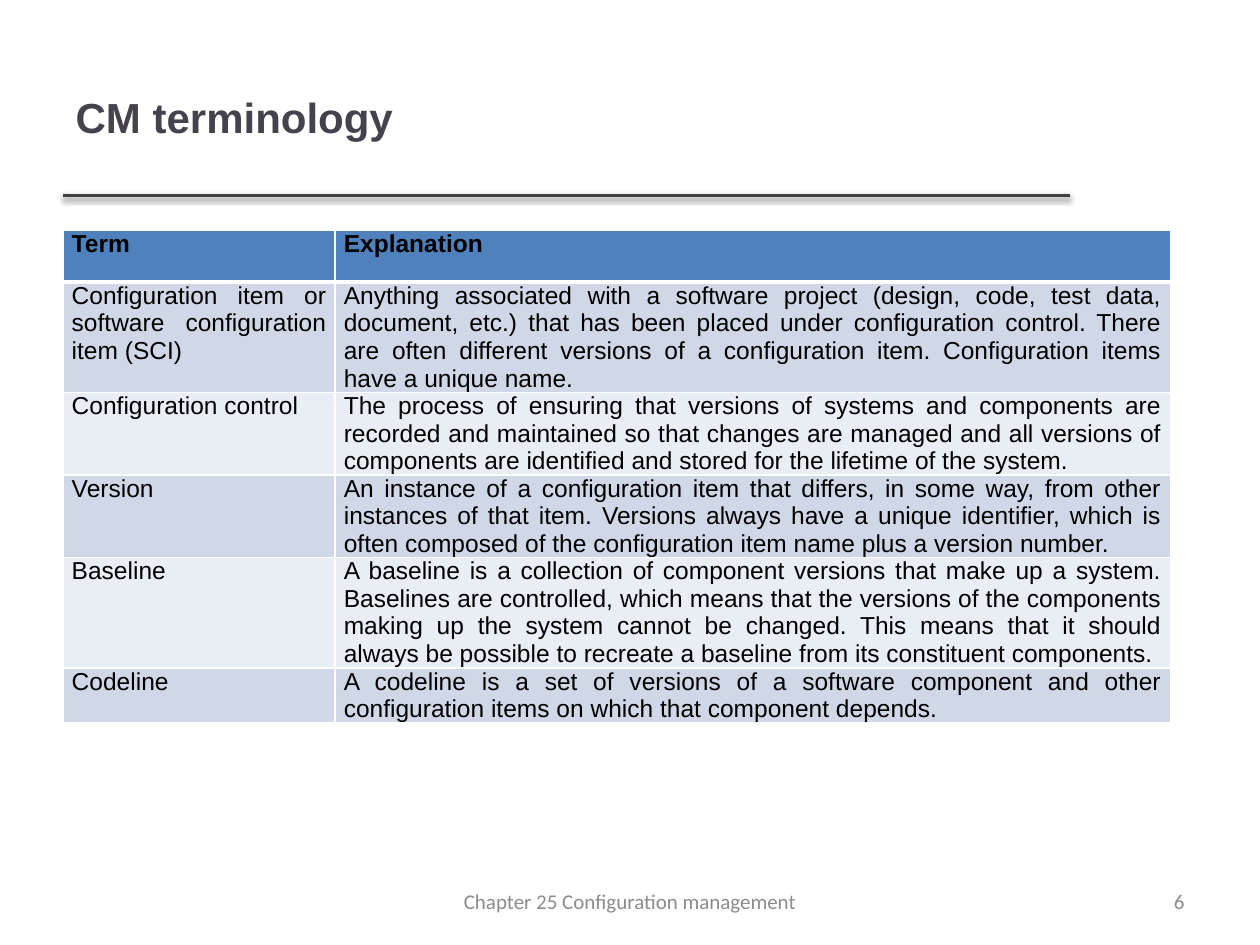
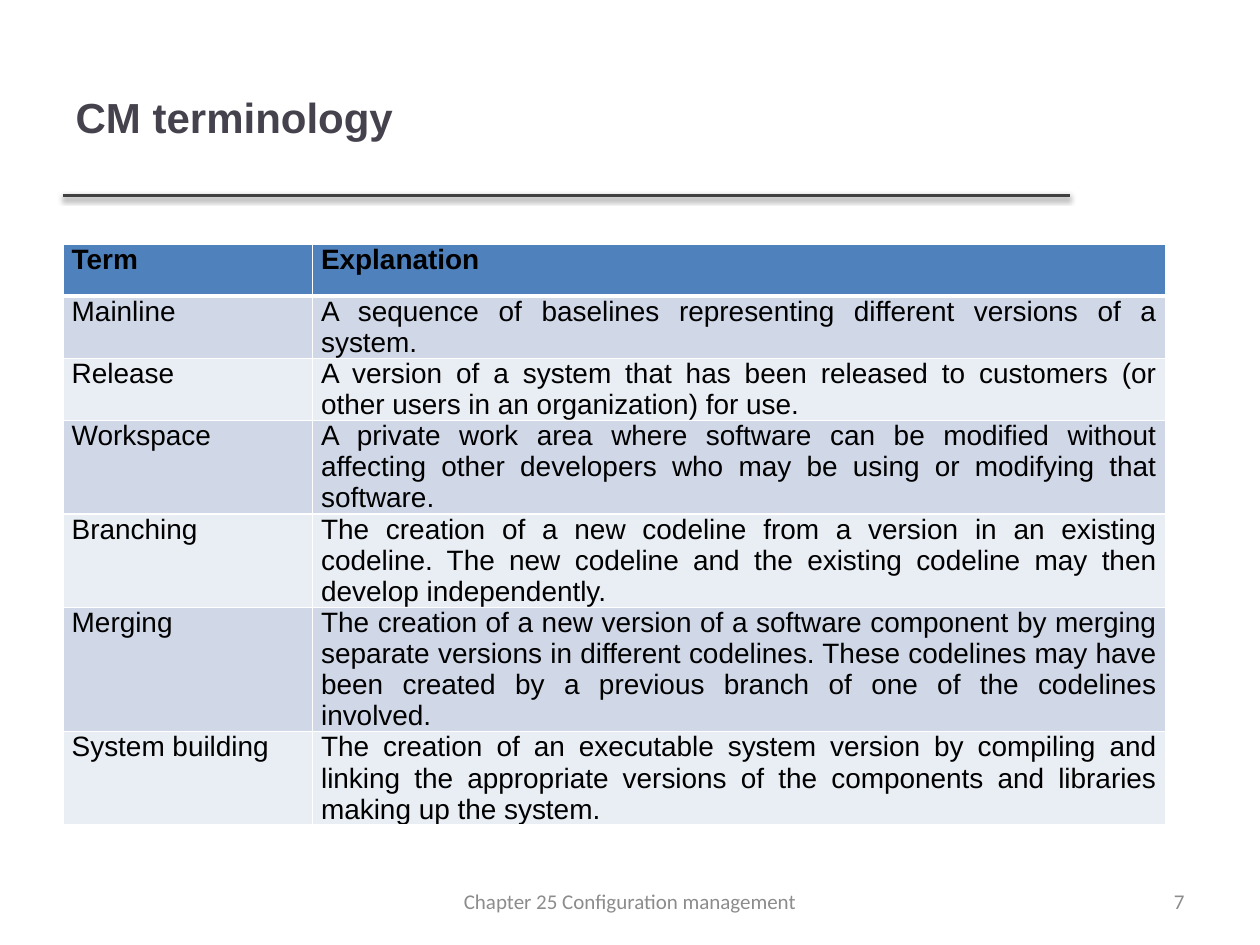
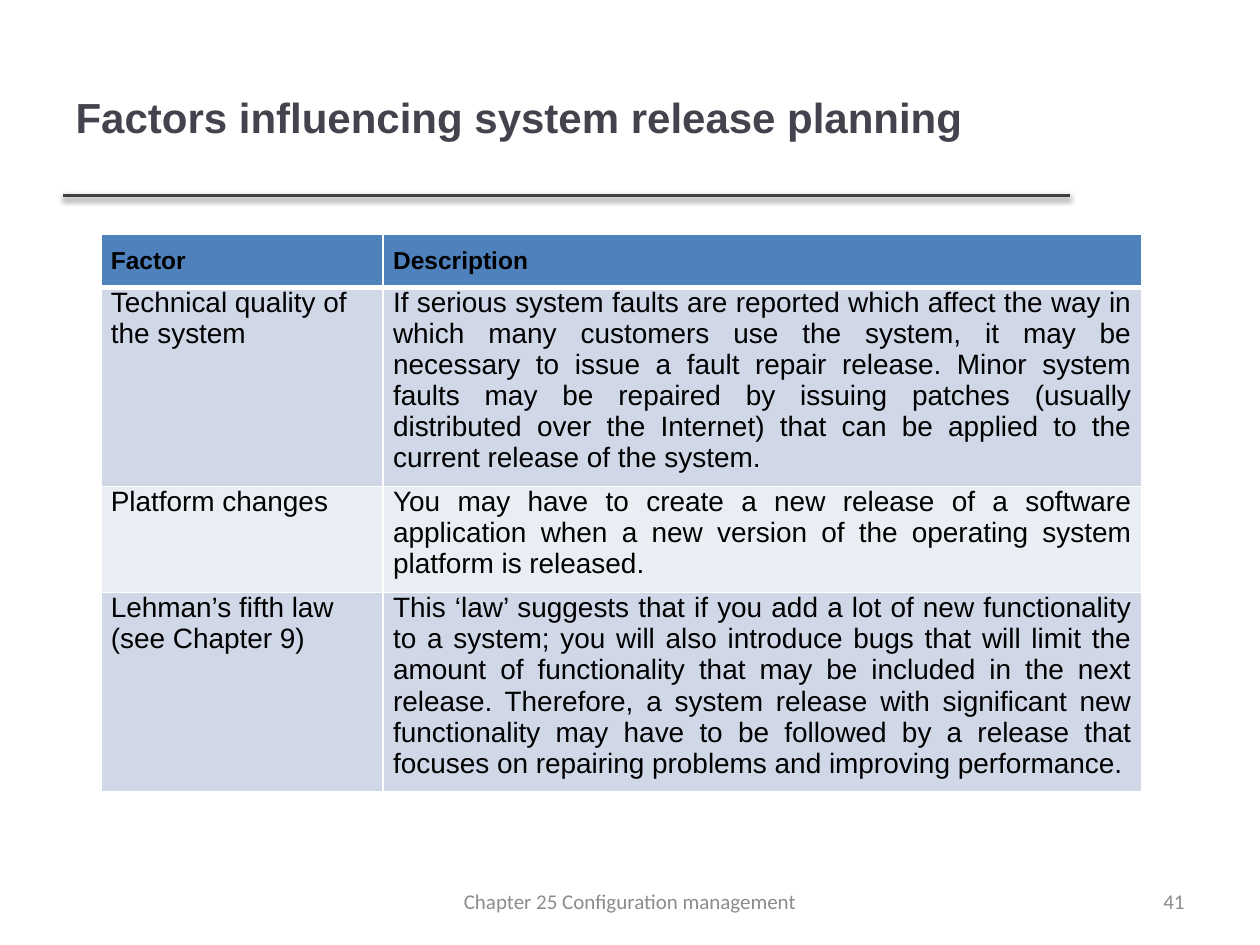
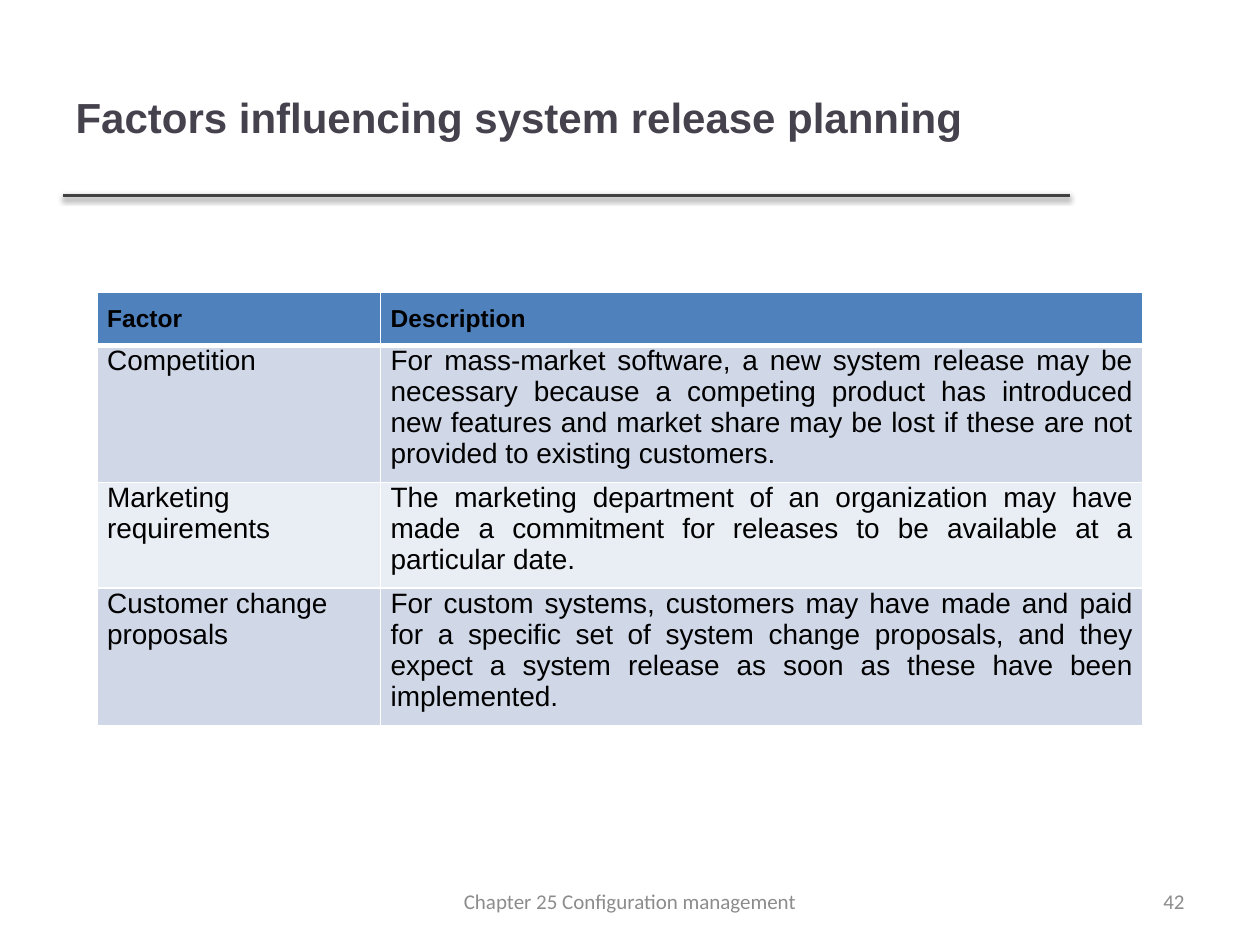
from dataclasses import dataclass

from lxml.etree import SubElement
from pptx import Presentation
from pptx.dml.color import RGBColor
from pptx.enum.shapes import MSO_CONNECTOR
from pptx.enum.text import MSO_ANCHOR, MSO_AUTO_SIZE, PP_ALIGN
from pptx.oxml import parse_xml
from pptx.oxml.ns import nsdecls, qn
from pptx.util import Pt


@dataclass(frozen=True)
class Theme:
    title_color: str = "46424D"
    rule_color: str = "404040"
    header_fill: str = "4F81BD"
    band_fills: tuple = ("D0D8E8", "E9EDF4")
    border_color: str = "FFFFFF"
    cell_color: str = "000000"
    footer_color: str = "8C8C8C"
    text_font: str = "Arial"
    footer_font: str = "Calibri"
    title_size: int = 24
    small_size: int = 14
    large_size: int = 16
    footer_size: int = 12


THEME = Theme()
FOOTER = "Chapter 25 Configuration management"
ROW_HEIGHT = 29.5

# Cell margins run left, top, right, bottom.
TERM_STYLE = {
    "header": ("Term", "Explanation"),
    "header_margins": (5, 0, 5, 0),
    "body_margins": (5, 0, 5, 0),
    "first_column": PP_ALIGN.JUSTIFY,
    "space_after": 2,
}
FACTOR_STYLE = {
    "header": ("Factor", "Description"),
    "header_margins": (5.75, 7.2, 5.75, 7.2),
    "body_margins": (5.75, 0, 5.75, 7.2),
    "first_column": PP_ALIGN.LEFT,
    "space_after": 0,
}

SLIDES = [
    {
        "title": "CM terminology", "number": 6, "style": TERM_STYLE,
        "position": (36, 131.75), "columns": (155.5, 477.4),
        "header_size": THEME.small_size, "body_size": THEME.small_size,
        "rows": [
            ("Configuration item or software configuration item (SCI)",
             "Anything associated with a software project (design, code, test data, document, etc.) "
             "that has been placed under configuration control. There are often different versions "
             "of a configuration item. Configuration items have a unique name."),
            ("Configuration control",
             "The process of ensuring that versions of systems and components are recorded and "
             "maintained so that changes are managed and all versions of components are identified "
             "and stored for the lifetime of the system."),
            ("Version",
             "An instance of a configuration item that differs, in some way, from other instances "
             "of that item. Versions always have a unique identifier, which is often composed of "
             "the configuration item name plus a version number."),
            ("Baseline",
             "A baseline is a collection of component versions that make up a system. Baselines are "
             "controlled, which means that the versions of the components making up the system "
             "cannot be changed. This means that it should always be possible to recreate a "
             "baseline from its constituent components."),
            ("Codeline",
             "A codeline is a set of versions of a software component and other configuration items "
             "on which that component depends."),
        ],
    },
    {
        "title": "CM terminology", "number": 7, "style": TERM_STYLE,
        "position": (36, 139.7), "columns": (142.5, 487.5),
        "header_size": THEME.large_size, "body_size": THEME.large_size,
        "rows": [
            ("Mainline",
             "A sequence of baselines representing different versions of a system."),
            ("Release",
             "A version of a system that has been released to customers (or other users in an "
             "organization) for use."),
            ("Workspace",
             "A private work area where software can be modified without affecting other "
             "developers who may be using or modifying that software."),
            ("Branching",
             "The creation of a new codeline from a version in an existing codeline. The new "
             "codeline and the existing codeline may then develop independently."),
            ("Merging",
             "The creation of a new version of a software component by merging separate versions "
             "in different codelines. These codelines may have been created by a previous branch "
             "of one of the codelines involved."),
            ("System building",
             "The creation of an executable system version by compiling and linking the "
             "appropriate versions of the components and libraries making up the system."),
        ],
    },
    {
        "title": "Factors influencing system release planning", "number": 41,
        "style": FACTOR_STYLE,
        "position": (57.6, 134), "columns": (161.3, 433.4),
        "header_size": THEME.small_size, "body_size": THEME.large_size,
        "rows": [
            ("Technical quality of the system",
             "If serious system faults are reported which affect the way in which many customers "
             "use the system, it may be necessary to issue a fault repair release. Minor system "
             "faults may be repaired by issuing patches (usually distributed over the Internet) "
             "that can be applied to the current release of the system."),
            ("Platform changes",
             "You may have to create a new release of a software application when a new version "
             "of the operating system platform is released."),
            ("Lehman’s fifth law (see Chapter 9)",
             "This ‘law’ suggests that if you add a lot of new functionality to a system; you will "
             "also introduce bugs that will limit the amount of functionality that may be included "
             "in the next release. Therefore, a system release with significant new functionality "
             "may have to be followed by a release that focuses on repairing problems and "
             "improving performance."),
        ],
    },
    {
        "title": "Factors influencing system release planning", "number": 42,
        "style": FACTOR_STYLE,
        "position": (55.5, 167.1), "columns": (162, 435.6),
        "header_size": THEME.small_size, "body_size": THEME.large_size,
        "rows": [
            ("Competition",
             "For mass-market software, a new system release may be necessary because a competing "
             "product has introduced new features and market share may be lost if these are not "
             "provided to existing customers."),
            ("Marketing requirements",
             "The marketing department of an organization may have made a commitment for releases "
             "to be available at a particular date."),
            ("Customer change proposals",
             "For custom systems, customers may have made and paid for a specific set of system "
             "change proposals, and they expect a system release as soon as these have been "
             "implemented."),
        ],
    },
]


def write_text(text_frame, text, font_name, size, color, alignment, bold=False):
    text_frame.text = text
    text_frame.word_wrap = True
    paragraph = text_frame.paragraphs[0]
    paragraph.alignment = alignment
    font = paragraph.runs[0].font
    font.name, font.size, font.bold = font_name, Pt(size), bold
    font.color.rgb = RGBColor.from_string(color)
    return paragraph


def set_borders(cell, top, bottom):
    """Draw all four sides; call before filling, as borders precede the fill in the XML."""
    properties = cell._tc.get_or_add_tcPr()
    for side, width in (("L", 1), ("R", 1), ("T", top), ("B", bottom)):
        line = SubElement(properties, qn(f"a:ln{side}"), w=str(Pt(width)))
        SubElement(SubElement(line, qn("a:solidFill")), qn("a:srgbClr"), val=THEME.border_color)


presentation = Presentation()
presentation.slide_width, presentation.slide_height = Pt(720), Pt(540)
title_only = presentation.slide_layouts[5]

for content in SLIDES:
    slide = presentation.slides.add_slide(title_only)
    style = content["style"]

    rule = slide.shapes.add_connector(MSO_CONNECTOR.STRAIGHT, Pt(36), Pt(111.6), Pt(611.3), Pt(111.6))
    rule.line.width = Pt(2)
    rule.line.color.rgb = RGBColor.from_string(THEME.rule_color)
    rule._element.spPr.append(parse_xml(
        f'<a:effectLst {nsdecls("a")}><a:outerShdw blurRad="{Pt(3.1)}" dist="{Pt(1.6)}" '
        'dir="5400000" rotWithShape="0"><a:srgbClr val="000000"><a:alpha val="38000"/>'
        '</a:srgbClr></a:outerShdw></a:effectLst>'))

    title = slide.shapes.title
    title.left, title.top, title.width, title.height = Pt(36), Pt(21.6), Pt(574.6), Pt(90)
    write_text(title.text_frame, content["title"], THEME.text_font, THEME.title_size,
               THEME.title_color, PP_ALIGN.LEFT, bold=True)
    title.text_frame.vertical_anchor = MSO_ANCHOR.MIDDLE
    title.text_frame.auto_size = MSO_AUTO_SIZE.NONE

    rows = [style["header"], *content["rows"]]
    left, top = content["position"]
    table = slide.shapes.add_table(len(rows), 2, Pt(left), Pt(top), Pt(sum(content["columns"])),
                                   Pt(ROW_HEIGHT * len(rows))).table
    table.first_row = table.horz_banding = False
    for column, width in zip(table.columns, content["columns"]):
        column.width = Pt(width)

    for row_index, texts in enumerate(rows):
        table.rows[row_index].height = Pt(ROW_HEIGHT)
        is_header = row_index == 0
        part = "header" if is_header else "body"
        fill = THEME.header_fill if is_header else THEME.band_fills[(row_index - 1) % 2]
        for column_index, text in enumerate(texts):
            cell = table.cell(row_index, column_index)
            (cell.margin_left, cell.margin_top, cell.margin_right, cell.margin_bottom) = (
                Pt(margin) for margin in style[f"{part}_margins"])
            set_borders(cell, top=3 if row_index == 1 else 1, bottom=3 if is_header else 1)
            cell.fill.solid()
            cell.fill.fore_color.rgb = RGBColor.from_string(fill)
            is_label = column_index == 0 and not is_header
            alignment = style["first_column"] if is_label else PP_ALIGN.JUSTIFY
            paragraph = write_text(cell.text_frame, text, THEME.text_font, content[f"{part}_size"],
                                   THEME.cell_color, alignment, bold=is_header)
            paragraph.space_after = Pt(style["space_after"])

    for text, left, width, alignment in (
        (str(content["number"]), 516, 168, PP_ALIGN.RIGHT),
        (FOOTER, 246, 228, PP_ALIGN.CENTER),
    ):
        footer = slide.shapes.add_textbox(Pt(left), Pt(500.5), Pt(width), Pt(28.75))
        footer.text_frame.vertical_anchor = MSO_ANCHOR.MIDDLE
        write_text(footer.text_frame, text, THEME.footer_font, THEME.footer_size,
                   THEME.footer_color, alignment)

presentation.save("out.pptx")
